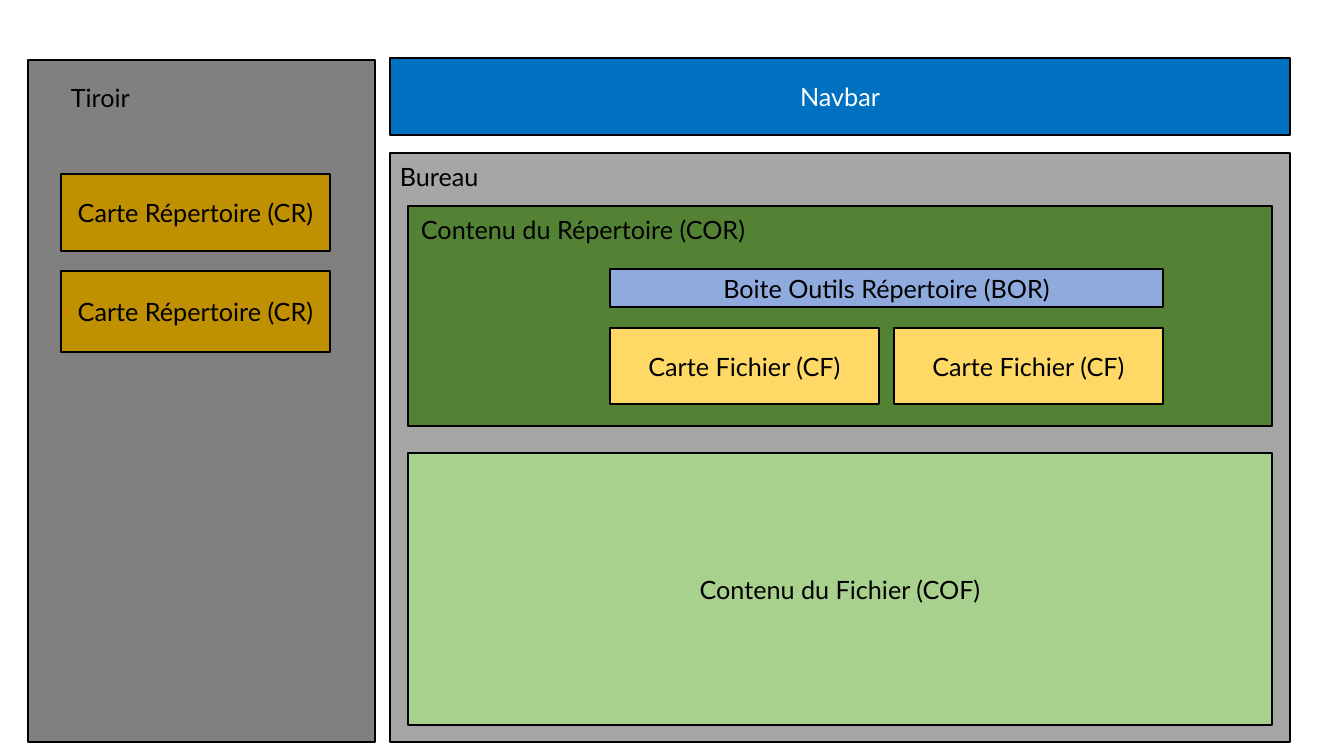
from pptx import Presentation
from pptx import util as u
from pptx.dml.color import RGBColor
from pptx.enum import shapes, text

PX = 914400 / 100.8
FONT = "Lato"
BLACK = RGBColor(0x00, 0x00, 0x00)
WHITE = RGBColor(0xFF, 0xFF, 0xFF)
DARK_GRAY = RGBColor(0x80, 0x80, 0x80)
LIGHT_GRAY = RGBColor(0xA6, 0xA6, 0xA6)
GOLD = RGBColor(0xBF, 0x90, 0x00)
YELLOW = RGBColor(0xFF, 0xD9, 0x66)
DARK_GREEN = RGBColor(0x54, 0x82, 0x35)
LIGHT_GREEN = RGBColor(0xA9, 0xD1, 0x8E)
NAVY_BLUE = RGBColor(0x00, 0x70, 0xC0)
PALE_BLUE = RGBColor(0x8F, 0xAA, 0xDC)


def px(n):
    """Turn pixels into EMU."""
    return u.Emu(round(n * PX))


def write(sp, words, color=BLACK, align=text.PP_ALIGN.CENTER):
    """Put one line of text into a shape."""
    tf = sp.text_frame
    tf.word_wrap = True
    p = tf.paragraphs[0]
    p.text = words
    p.alignment = align
    p.font.name, p.font.size, p.font.color.rgb = FONT, u.Pt(18), color


def add_box(s, x, y, w, h, fill, words="", color=BLACK):
    """Add an outlined rectangle with optional centred text."""
    sp = s.shapes.add_shape(shapes.MSO_SHAPE.RECTANGLE, *map(px, (x, y, w, h)))
    sp.shadow.inherit = False
    sp.fill.solid()
    sp.fill.fore_color.rgb = fill
    sp.line.color.rgb = BLACK
    sp.line.width = u.Pt(1.25)
    if words:
        sp.text_frame.vertical_anchor = text.MSO_ANCHOR.MIDDLE
        write(sp, words, color)


def add_label(s, x, y, w, words, fill=None):
    """Add a left-aligned panel title, filled when a colour is given."""
    sp = s.shapes.add_textbox(*map(px, (x, y, w, 40)))
    if fill is not None:
        sp.fill.solid()
        sp.fill.fore_color.rgb = fill
    write(sp, words, align=text.PP_ALIGN.LEFT)


def add_drawer(s):
    """Draw the drawer with its directory cards."""
    add_box(s, 28, 60, 347, 682, DARK_GRAY)
    add_label(s, 61, 77, 169, "Tiroir", DARK_GRAY)
    for y, h in ((174, 77), (271, 81)):
        add_box(s, 61, y, 269, h, GOLD, "Carte Répertoire (CR)")


def add_desk(s):
    """Draw the desk with the directory and file contents."""
    add_box(s, 390, 153, 900, 589, LIGHT_GRAY)
    add_label(s, 390, 156, 293, "Bureau")
    add_box(s, 408, 206, 864, 220, DARK_GREEN)
    add_label(s, 411, 209, 376, "Contenu du Répertoire (COR)", DARK_GREEN)
    add_box(s, 610, 269, 553, 38, PALE_BLUE, "Boite Outils Répertoire (BOR)")
    for x in (610, 894):
        add_box(s, x, 328, 269, 76, YELLOW, "Carte Fichier (CF)")
    add_box(s, 408, 453, 864, 272, LIGHT_GREEN, "Contenu du Fichier (COF)")


def main():
    """Build the screen layout slide and save it."""
    prs = Presentation()
    prs.slide_width, prs.slide_height = px(1344), px(756)
    s = prs.slides.add_slide(prs.slide_layouts[6])
    add_drawer(s)
    add_desk(s)
    add_box(s, 390, 58, 900, 77, NAVY_BLUE, "Navbar", WHITE)
    prs.save("out.pptx")


main()
